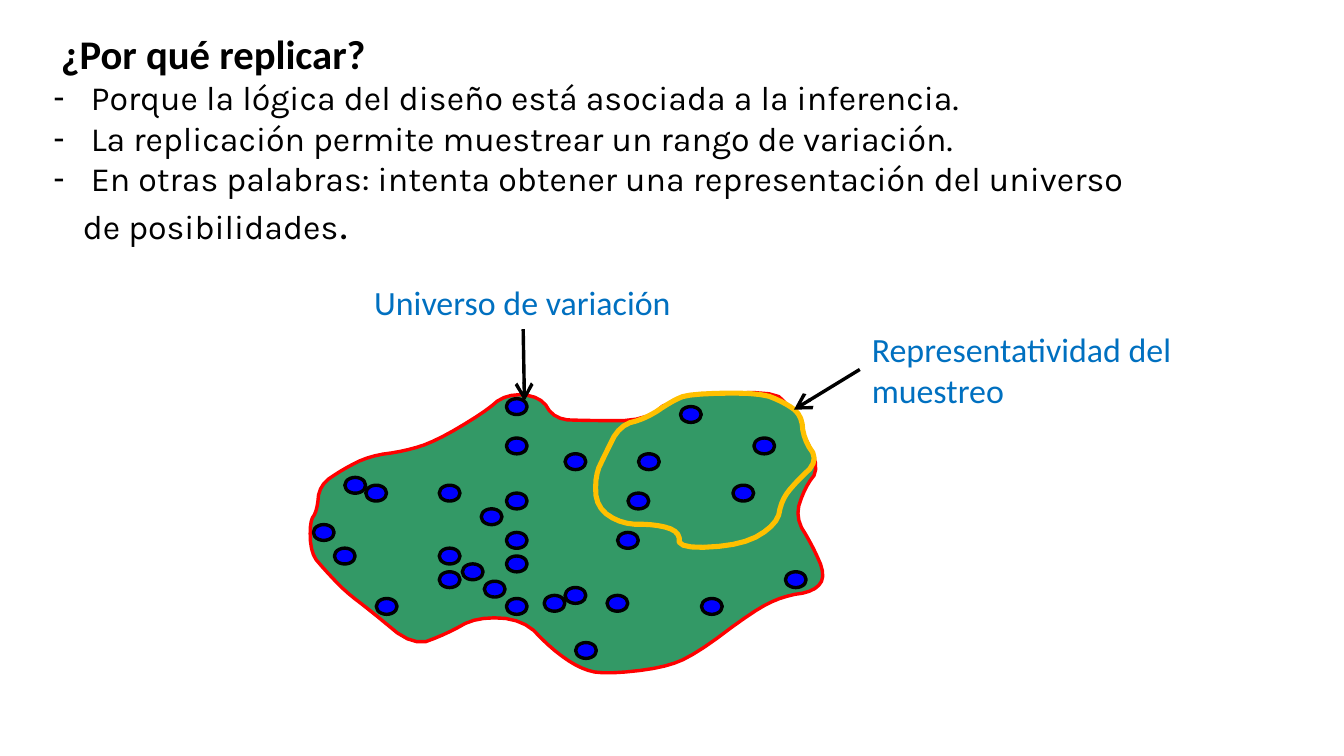
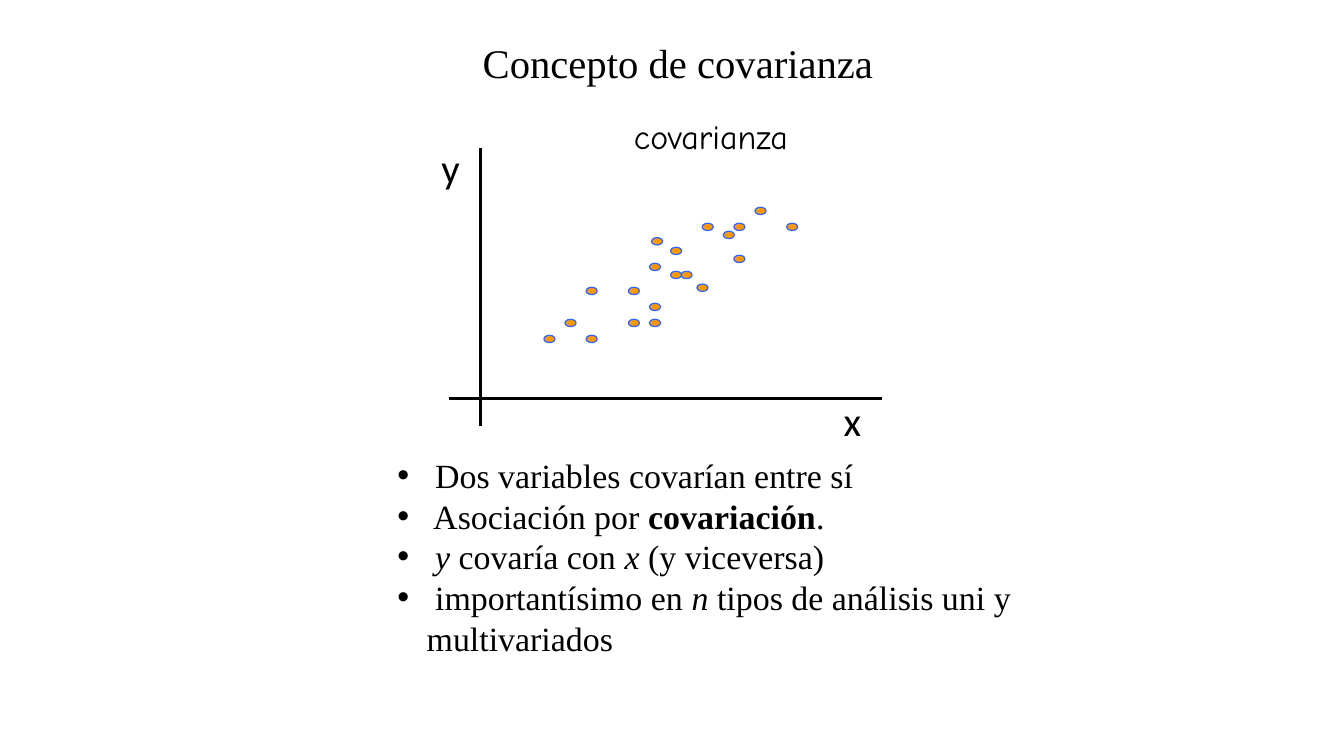
"""Build two slides on replication and covariance."""
from dataclasses import dataclass

from lxml import etree
from pptx import Presentation
from pptx.dml.color import RGBColor as RGB
from pptx.enum.shapes import MSO_CONNECTOR as CONN, MSO_SHAPE as SHAPE
from pptx.enum.text import MSO_AUTO_SIZE as AUTO
from pptx.oxml.ns import qn
from pptx.util import Inches, Pt


@dataclass(frozen=True)
class Theme:
    ink: str = "000000"
    label: str = "0070C0"
    land: str = "339966"
    border: str = "FF0000"
    sample: str = "FFC000"
    site: str = "0000FF"
    point: str = "FF9900"
    point_line: str = "3366FF"
    sans: str = "Calibri"
    body: str = "Karla"
    serif: str = "Times New Roman"
    casual: str = "Comic Neue"
    large: int = 24
    normal: int = 20
    hanging: float = 0.24


T = Theme()
BOLD, ITALIC = {"bold": True}, {"italic": True}


def add_text(s, box, paras, font=T.sans, size=T.normal, color=T.ink, bold=False, wrap=False, bullet=None):
    tf = s.shapes.add_textbox(*map(Inches, box)).text_frame
    tf.word_wrap = wrap
    tf.auto_size = AUTO.SHAPE_TO_FIT_TEXT
    for i, runs in enumerate(paras):
        p = tf.add_paragraph() if i else tf.paragraphs[0]
        if bullet:
            pPr = p._p.get_or_add_pPr()
            pPr.set("marL", str(Inches(T.hanging)))
            pPr.set("indent", str(-Inches(T.hanging)))
            etree.SubElement(pPr, qn("a:buFont")).set("typeface", "Arial")
            etree.SubElement(pPr, qn("a:buChar")).set("char", bullet)
        for words, fmt in [(runs, {})] if isinstance(runs, str) else runs:
            r = p.add_run()
            r.text = words
            r.font.name = fmt.get("font", font)
            r.font.size = Pt(fmt.get("size", size))
            r.font.bold = fmt.get("bold", bold)
            r.font.italic = fmt.get("italic", False)
            r.font.color.rgb = RGB.from_string(color)


def paint(sp, fill, line, width):
    sp.shadow.inherit = False
    sp.fill.solid()
    sp.fill.fore_color.rgb = RGB.from_string(fill)
    sp.line.color.rgb = RGB.from_string(line)
    sp.line.width = Pt(width)


prs = Presentation()
prs.slide_width, prs.slide_height = Inches(11.02), Inches(6.2)
blank = prs.slide_layouts[6]
replication, covariance = (prs.slides.add_slide(blank) for _ in range(2))

north_west = [(4.15, 3.23), (3.96, 3.39), (3.57, 3.62), (3.32, 3.7), (3.03, 3.74), (2.81, 3.85)]
west = [(2.62, 3.98), (2.6, 4.19), (2.54, 4.28), (2.55, 4.54), (2.66, 4.67), (2.83, 4.85), (3.04, 5.01)]
south = [(3.39, 5.3), (3.66, 5.2), (3.91, 5.06), (4.29, 5.08), (4.52, 5.32), (4.75, 5.48), (4.95, 5.53)]
south_east = [(5.43, 5.48), (5.7, 5.37), (6.18, 5.01), (6.42, 4.89), (6.68, 4.85), (6.77, 4.72)]
east = [(6.66, 4.47), (6.52, 4.24), (6.6, 4), (6.72, 3.84), (6.58, 3.54), (6.48, 3.34), (6.33, 3.2)]
north = [(5.52, 3.26), (5.29, 3.45), (4.82, 3.45), (4.55, 3.44), (4.43, 3.25)]
universe = north_west + west + south + south_east + east + north

sample_west = [(5.51, 3.29), (5.3, 3.43), (5.08, 3.49), (4.96, 3.73), (4.88, 3.9), (4.89, 4.16), (5.1, 4.3)]
sample_south = [(5.38, 4.3), (5.57, 4.36), (5.57, 4.5), (6.09, 4.47), (6.37, 4.3), (6.41, 4.1), (6.52, 3.96)]
sample_east = [(6.71, 3.78), (6.59, 3.6), (6.57, 3.4), (6.43, 3.3), (6.23, 3.22), (5.65, 3.23)]
sampled = sample_west + sample_south + sample_east

smoothing_rounds = 2
for outline, color, width in ((universe, T.border, 2), (sampled, T.sample, 3)):
    for _ in range(smoothing_rounds):
        sides = list(zip(outline, outline[1:] + outline[:1]))
        outline = [
            (x1 + (x2 - x1) * cut, y1 + (y2 - y1) * cut)
            for (x1, y1), (x2, y2) in sides
            for cut in (0.25, 0.75)
        ]
    start, *rest = [(Inches(x), Inches(y)) for x, y in outline]
    builder = replication.shapes.build_freeform(*start)
    builder.add_line_segments(rest, close=True)
    paint(builder.convert_to_shape(), T.land, color, width)

site_columns_by_row = {
    0: [18.4], 1: [35], 5: [18.4, 42], 7: [24, 31], 10: [3], 11: [5, 12, 40], 12: [18.4, 30],
    14: [16], 16: [0], 17: [18.4, 29], 19: [2, 12], 20: [18.4], 21: [14.2], 22: [12, 45],
    23.2: [16.3], 24: [24], 25: [22, 28], 25.4: [6, 18.4, 37], 31: [25],
}
point_columns_by_row = {
    0: [20], 2: [15, 18, 23], 3: [17], 3.8: [10.2], 5: [12], 6: [18], 7: [10], 8: [12, 13],
    9.6: [14.5], 10: [4, 8], 12: [10], 14: [2, 8, 10], 16: [0, 4],
}
for s, columns_by_row, first, last, size, look in (
    (replication, site_columns_by_row, (2.57, 3.27), (6.44, 5.27), (0.17, 0.13), (T.site, T.ink, 2)),
    (covariance, point_columns_by_row, (4.46, 1.7), (6.45, 2.75), (0.09, 0.06), (T.point, T.point_line, 0.75)),
):
    (left, top), (right, bottom) = first, last
    col_step = (right - left) / max(max(cols) for cols in columns_by_row.values())
    row_step = (bottom - top) / max(columns_by_row)
    for row, cols in columns_by_row.items():
        for col in cols:
            spot = (left + col * col_step, top + row * row_step)
            paint(s.shapes.add_shape(SHAPE.OVAL, *map(Inches, spot + size)), *look)

universe_arrow, sample_arrow = (4.29, 2.7, 4.3, 3.29), (7.05, 3.03, 6.51, 3.36)
y_axis, x_axis = (3.94, 1.21, 3.94, 3.49), (3.68, 3.27, 7.23, 3.27)
for s, ends, width, has_head in (
    (replication, universe_arrow, 2, True),
    (replication, sample_arrow, 2, True),
    (covariance, y_axis, 1.5, False),
    (covariance, x_axis, 1.5, False),
):
    cxn = s.shapes.add_connector(CONN.STRAIGHT, *map(Inches, ends))
    cxn.line.color.rgb = RGB.from_string(T.ink)
    cxn.line.width = Pt(width)
    spPr = cxn._element.spPr
    if has_head:
        head = etree.SubElement(spPr.find(qn("a:ln")), qn("a:tailEnd"))
        for key, value in (("type", "arrow"), ("w", "lg"), ("len", "lg")):
            head.set(key, value)
    etree.SubElement(spPr, qn("a:effectLst"))

add_text(replication, (0.4, 0.19, 2.71, 0.5), ["¿Por qué replicar?"], size=T.large, bold=True)
add_text(replication, (0.34, 0.58, 9.21, 1.5), [
    " Porque la lógica del diseño está asociada a la inferencia.",
    " La replicación permite muestrear un rango de variación.",
    [(" En otras palabras: intenta obtener una representación del universo de posibilidades", {}),
     (".", {"font": T.sans, "size": T.large})],
], font=T.body, wrap=True, bullet="-")
add_text(replication, (2.97, 2.26, 2.64, 0.44), ["Universo de variación"], color=T.label)
add_text(replication, (7.05, 2.65, 2.8, 0.77), ["Representatividad del muestreo"], color=T.label, wrap=True)

add_text(covariance, (3.86, 0.26, 3.4, 0.5), ["Concepto de covarianza"], font=T.serif, size=T.large)
add_text(covariance, (5.1, 0.9, 1.47, 0.44), ["covarianza"], font=T.casual)
for axis_name, box in (("y", (3.52, 1.12, 0.35, 0.5)), ("x", (6.82, 3.2, 0.34, 0.5))):
    add_text(covariance, box, [axis_name], size=T.large)
add_text(covariance, (3.16, 3.68, 6.08, 1.77), [
    " Dos variables covarían entre sí",
    [(" Asociación por ", {}), ("covariación", BOLD), (".", {})],
    [(" y", ITALIC), (" covaría con ", {}), ("x ", ITALIC), ("(y viceversa)", {})],
    [(" importantísimo en ", {}), ("n", ITALIC), (" tipos de análisis uni y multivariados", {})],
], font=T.serif, wrap=True, bullet="•")

prs.save("out.pptx")
